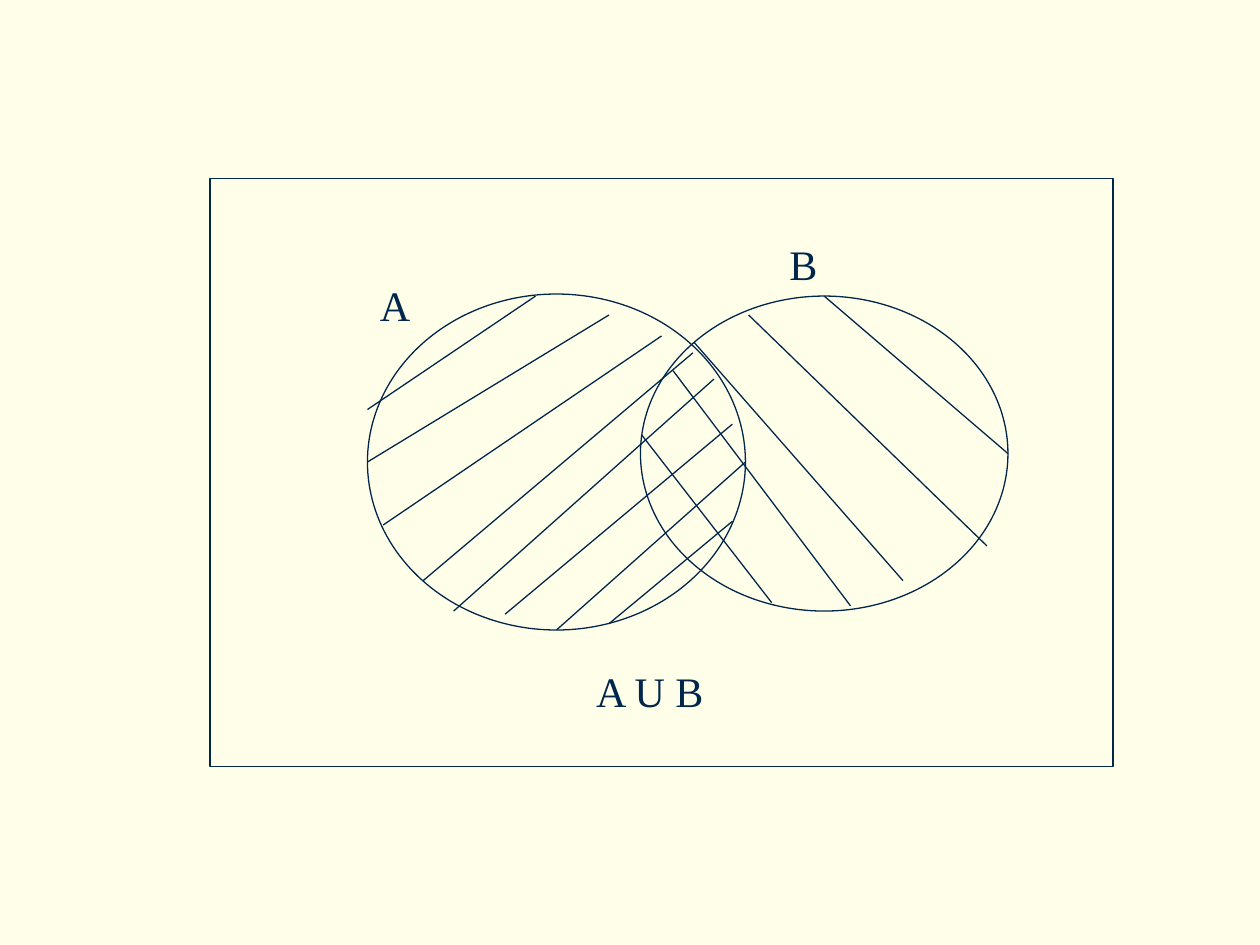
from typing import NamedTuple

from lxml.etree import SubElement
from pptx import Presentation
from pptx.dml.color import RGBColor
from pptx.enum.shapes import MSO_CONNECTOR as Link, MSO_SHAPE as Kind
from pptx.enum.text import MSO_AUTO_SIZE as Fit
from pptx.oxml.ns import qn
from pptx.util import Inches, Pt

NAVY = RGBColor(0x00, 0x26, 0x4C)
CREAM = RGBColor(0xFF, 0xFF, 0xE9)
FONT = "Times New Roman"
COLS, ROWS = 120, 90


class Box(NamedTuple):
    col: float
    row: float
    wide: float
    high: float


class Hatch(NamedTuple):
    col: float
    row: float
    to_col: float
    to_row: float


class Label(NamedTuple):
    text: str
    box: Box


FRAME = Box(20, 17, 86, 56)
SETS = [Box(35, 28, 36, 32), Box(61, 28.2, 35, 30)]
RISING = [
    Hatch(35, 39, 51, 28.2),
    Hatch(35, 44, 58, 30),
    Hatch(36.5, 50, 63, 32),
    Hatch(40.3, 55.3, 66, 33.6),
    Hatch(43.2, 58.2, 68, 36.1),
    Hatch(48.1, 58.5, 69.75, 40.4),
    Hatch(53, 60, 71, 44),
    Hatch(58, 59.4, 69.75, 49.65),
]
FALLING = [
    Hatch(78.5, 28.2, 96, 43.2),
    Hatch(71.3, 30, 94, 52),
    Hatch(66.1, 32.6, 86, 55.3),
    Hatch(64.1, 35.3, 81, 57.7),
    Hatch(61.1, 41.4, 73.5, 57.4),
]
LABELS = [
    Label("A", Box(35, 26, 10, 6.1)),
    Label("B", Box(74, 22.1, 10, 6.1)),
    Label("A U B", Box(55.6, 62.8, 27.1, 6)),
]

deck = Presentation()
deck.slide_width, deck.slide_height = Inches(10), Inches(7.5)
slide = deck.slides.add_slide(deck.slide_layouts[6])
shapes = slide.shapes


def place(cells: tuple) -> list[int]:
    sides = (deck.slide_width / COLS, deck.slide_height / ROWS) * 2
    return [round(n * side) for n, side in zip(cells, sides)]


def ink(line) -> None:
    line.color.rgb = NAVY
    line.width = Pt(0.75)


def draw_shape(kind: Kind, box: Box) -> None:
    shape = shapes.add_shape(kind, *place(box))
    shape.shadow.inherit = False
    shape.fill.background()
    ink(shape.line)


def draw_hatch(hatch: Hatch) -> None:
    line = shapes.add_connector(Link.STRAIGHT, *place(hatch))
    ink(line.line)
    SubElement(line._element.spPr, qn("a:effectLst"))


def draw_label(label: Label) -> None:
    frame = shapes.add_textbox(*place(label.box)).text_frame
    frame.word_wrap = True
    frame.auto_size = Fit.SHAPE_TO_FIT_TEXT
    para = frame.paragraphs[0]
    para.text = label.text
    para.font.name = FONT
    para.font.size = Pt(24)
    para.font.color.rgb = NAVY


def main() -> None:
    back = slide.background.fill
    back.solid()
    back.fore_color.rgb = CREAM
    draw_shape(Kind.RECTANGLE, FRAME)
    for box in SETS:
        draw_shape(Kind.OVAL, box)
    for hatch in RISING + FALLING:
        draw_hatch(hatch)
    for label in LABELS:
        draw_label(label)
    deck.save("out.pptx")


if __name__ == "__main__":
    main()
